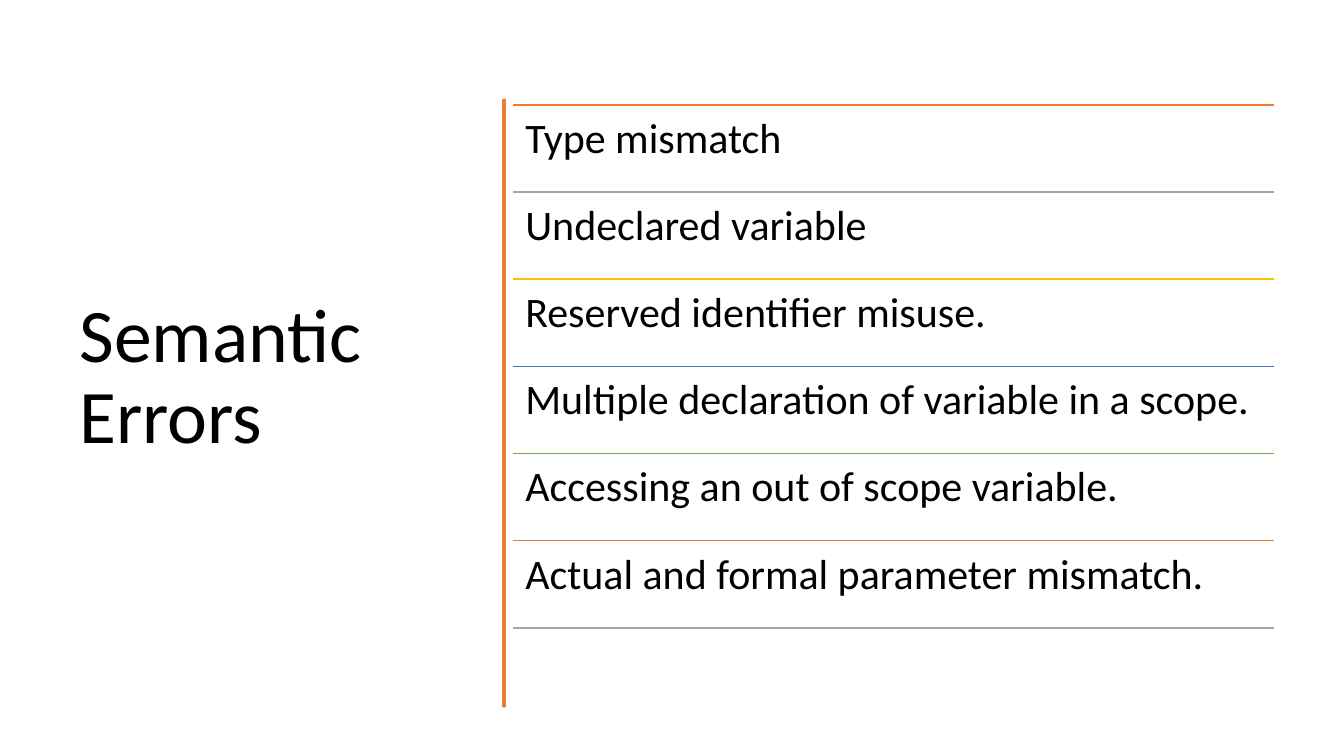
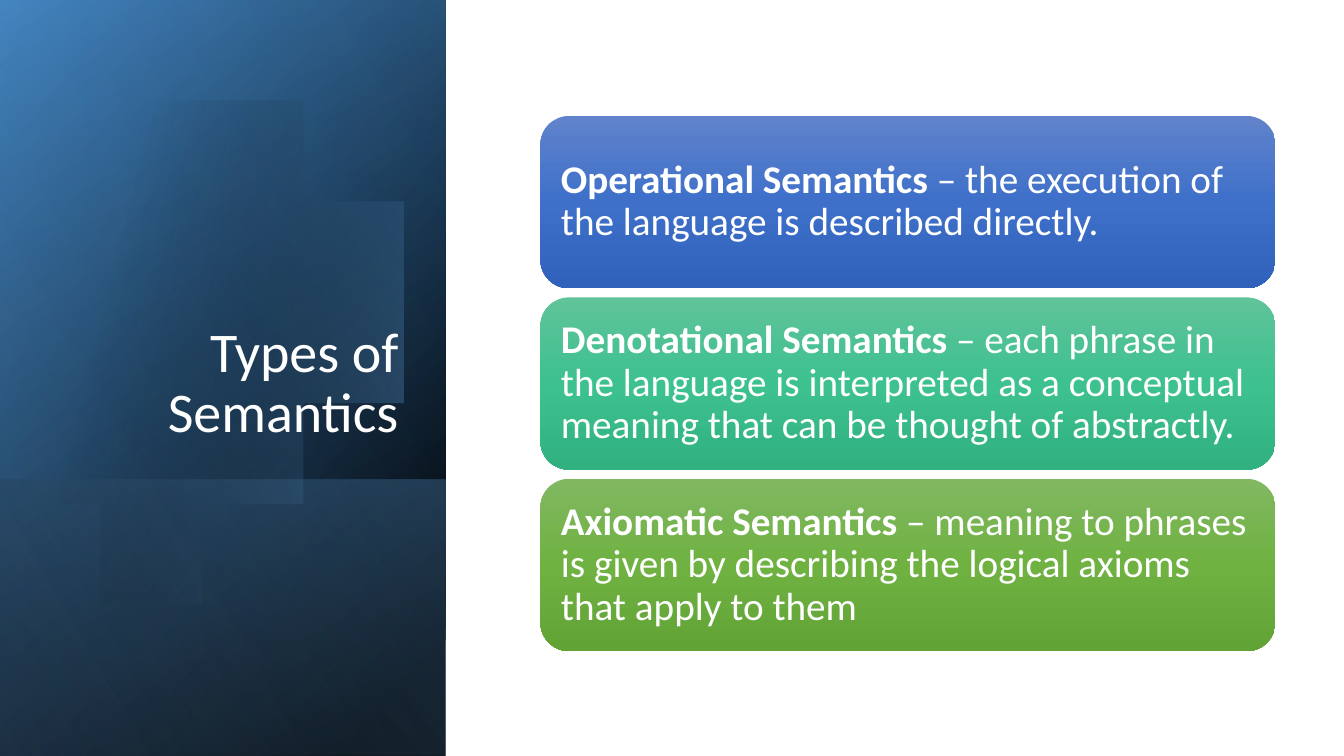
import math
from pptx import Presentation
from pptx.dml.color import RGBColor
from pptx.enum.shapes import MSO_CONNECTOR, MSO_SHAPE
from pptx.enum.text import MSO_ANCHOR, PP_ALIGN
from pptx.oxml import parse_xml
from pptx.oxml.ns import nsdecls, qn
from pptx.util import Inches, Pt

RECTANGLE, ROUNDED = MSO_SHAPE.RECTANGLE, MSO_SHAPE.ROUNDED_RECTANGLE
STRAIGHT = MSO_CONNECTOR.STRAIGHT
TOP, MIDDLE, BOTTOM = MSO_ANCHOR.TOP, MSO_ANCHOR.MIDDLE, MSO_ANCHOR.BOTTOM
LEFT, RIGHT = PP_ALIGN.LEFT, PP_ALIGN.RIGHT

FONT = "Calibri"
COLORS = {
    "black": "000000", "white": "FFFFFF", "orange": "ED7D31", "gray": "A5A5A5",
    "gold": "FFC000", "blue": "4472C4", "green": "70AD47",
    "deep": "2E75B6", "sky": "5B9BD5", "pale": "9DC3E6",
    "blue top": "6183CB", "blue mid": "3E70CA", "blue end": "3062BB",
    "teal top": "60C39A", "teal mid": "3DC18F", "teal end": "31B080",
    "green top": "81B861", "green mid": "6FB242", "green end": "62A336",
}


def write_text(shape, runs, size, color, anchor=TOP, align=LEFT, inset=None):
    """Fill a shape with one paragraph made of (text, bold) runs."""
    frame = shape.text_frame
    frame.word_wrap = True
    frame.vertical_anchor = anchor
    if inset is not None:
        frame.margin_left = frame.margin_right = Inches(inset)
        frame.margin_top = frame.margin_bottom = Inches(inset)
    paragraph = frame.paragraphs[0]
    paragraph.alignment = align
    paragraph.line_spacing = 0.9
    for text, bold in runs:
        run = paragraph.add_run()
        run.text = text
        run.font.name = FONT
        run.font.size = Pt(size)
        run.font.bold = bold
        run.font.color.rgb = RGBColor.from_string(COLORS[color])


def paint_gradient(shape, stops, angle):
    """Give a shape a borderless gradient of (position, color, opacity) stops."""
    shape.shadow.inherit = False
    shape.line.fill.background()
    shape.fill.background()
    stop_xml = "".join(
        f'<a:gs pos="{position * 1000}"><a:srgbClr val="{COLORS[color]}">'
        f'<a:alpha val="{opacity * 1000}"/></a:srgbClr></a:gs>'
        for position, color, opacity in stops)
    gradient = parse_xml(
        f'<a:gradFill {nsdecls("a")} rotWithShape="1"><a:gsLst>{stop_xml}</a:gsLst>'
        f'<a:lin ang="{angle * 60000}" scaled="0"/></a:gradFill>')
    properties = shape.element.spPr
    properties.replace(properties.find(qn("a:noFill")), gradient)


prs = Presentation()
prs.slide_width, prs.slide_height = Inches(13.33), Inches(7.5)
blank = prs.slide_layouts[6]

# Slide 1: semantic errors
errors_slide = prs.slides.add_slide(blank)
title = errors_slide.shapes.add_textbox(Inches(0.69), Inches(0.7), Inches(3.74), Inches(6.11))
write_text(title, [("Semantic Errors", False)], 54, "black", MIDDLE)

# Hand-drawn divider: each row is two control points and the end of a curve
DIVIDER_START = (4.75, 0.84)
DIVIDER_CURVES = [
    (4.77, 1.02, 4.77, 1.19, 4.75, 1.46), (4.73, 1.73, 4.76, 1.95, 4.75, 2.26),
    (4.74, 2.57, 4.75, 2.62, 4.75, 2.94), (4.74, 3.25, 4.77, 3.42, 4.75, 3.56),
    (4.73, 3.7, 4.79, 4.14, 4.75, 4.36), (4.71, 4.57, 4.72, 4.84, 4.75, 5.1),
    (4.77, 5.36, 4.77, 5.64, 4.75, 5.84), (4.73, 6.03, 4.76, 6.5, 4.75, 6.76),
    (4.74, 6.76, 4.73, 6.76, 4.73, 6.76), (4.74, 6.46, 4.71, 6.44, 4.73, 6.13),
    (4.74, 5.83, 4.74, 5.7, 4.73, 5.57), (4.72, 5.44, 4.72, 4.95, 4.73, 4.77),
    (4.73, 4.59, 4.71, 4.45, 4.73, 4.15), (4.74, 3.86, 4.72, 3.73, 4.73, 3.35),
    (4.74, 2.98, 4.72, 2.81, 4.73, 2.5), (4.74, 2.18, 4.75, 2, 4.73, 1.81),
    (4.7, 1.63, 4.77, 1.04, 4.73, 0.84),
]
STEPS = 6
outline = []
x0, y0 = DIVIDER_START
for x1, y1, x2, y2, x3, y3 in DIVIDER_CURVES:
    for step in range(1, STEPS + 1):
        t = step / STEPS
        a, b, c, d = (1 - t) ** 3, 3 * t * (1 - t) ** 2, 3 * t * t * (1 - t), t ** 3
        outline.append((a * x0 + b * x1 + c * x2 + d * x3,
                        a * y0 + b * y1 + c * y2 + d * y3))
    x0, y0 = x3, y3
builder = errors_slide.shapes.build_freeform(*DIVIDER_START, scale=Inches(1))
builder.add_line_segments(outline, close=True)
divider = builder.convert_to_shape()
divider.shadow.inherit = False
divider.fill.solid()
divider.fill.fore_color.rgb = RGBColor.from_string(COLORS["orange"])
divider.line.color.rgb = RGBColor.from_string(COLORS["orange"])
divider.line.width = Pt(3.25)

# Ruled list, closed by one more rule
ERRORS = [
    "Type mismatch",
    "Undeclared variable",
    "Reserved identifier misuse.",
    "Multiple declaration of variable in a scope.",
    "Accessing an out of scope variable.",
    "Actual and formal parameter mismatch.",
]
RULE_COLORS = ["orange", "gray", "gold", "blue", "green"]
LIST_LEFT, LIST_TOP, LIST_WIDTH, LIST_HEIGHT = 5.09, 1.04, 7.55, 5.19
row_height = LIST_HEIGHT / len(ERRORS)
for i in range(len(ERRORS) + 1):
    row_top = Inches(LIST_TOP + i * row_height)
    rule = errors_slide.shapes.add_connector(
        STRAIGHT, Inches(LIST_LEFT), row_top, Inches(LIST_LEFT + LIST_WIDTH), row_top)
    rule.line.color.rgb = RGBColor.from_string(COLORS[RULE_COLORS[i % len(RULE_COLORS)]])
    rule.line.width = Pt(1)
    rule.element.spPr.append(parse_xml(f'<a:effectLst {nsdecls("a")}/>'))
    if i < len(ERRORS):
        error = errors_slide.shapes.add_textbox(
            Inches(LIST_LEFT), row_top, Inches(LIST_WIDTH), Inches(row_height))
        write_text(error, [(ERRORS[i], False)], 30, "black", inset=0.12)

# Slide 2: types of semantics
types_slide = prs.slides.add_slide(blank)

# Side panel: mirrored, quarter-turned layers; None marks the place of the disc
PANEL_WIDTH = 4.42
LAYERS = [
    (0, 7.5, [(8, "black", 100), (100, "deep", 100)], 50),
    (0, 7.5, [(0, "black", 0), (99, "sky", 46)], 30),
    (4.76, 2.74, [(2, "sky", 29), (100, "black", 30)], 130),
    None,
    (0, 7.5, [(0, "black", 0), (99, "pale", 11)], 120),
]
DISC_X, DISC_Y, DISC_RADIUS, DISC_CUT = 1.43, 3.39, 2.29, -0.15
for layer in LAYERS:
    if layer:
        top, height, stops, angle = layer
        panel = types_slide.shapes.add_shape(
            RECTANGLE, Inches((PANEL_WIDTH - height) / 2),
            Inches(top + (height - PANEL_WIDTH) / 2), Inches(height), Inches(PANEL_WIDTH))
        panel.rotation = 90
        panel.element.spPr.find(qn("a:xfrm")).set("flipH", "1")
        paint_gradient(panel, stops, angle)
    else:
        reach = math.acos((DISC_CUT - DISC_X) / DISC_RADIUS)
        angles = [reach * (k / 60 - 1) for k in range(121)]
        arc = [(DISC_X + DISC_RADIUS * math.cos(a), DISC_Y + DISC_RADIUS * math.sin(a))
               for a in angles]
        builder = types_slide.shapes.build_freeform(*arc[0], scale=Inches(1))
        builder.add_line_segments(arc[1:], close=True)
        disc = builder.convert_to_shape()
        paint_gradient(disc, [(29, "black", 0), (100, "sky", 43)], 14)

title = types_slide.shapes.add_textbox(Inches(0.64), Inches(1.84), Inches(3.41), Inches(2.62))
write_text(title, [("Types of Semantics", False)], 40, "white", BOTTOM, RIGHT)

# Definition cards
CARDS = [
    ("blue", "Operational Semantics ",
     "– the execution of the language is described directly."),
    ("teal", "Denotational Semantics ",
     "– each phrase in the language is interpreted as a conceptual meaning "
     "that can be thought of abstractly."),
    ("green", "Axiomatic Semantics ",
     "– meaning to phrases is given by describing the logical axioms that apply to them"),
]
CARD_TOP, CARD_HEIGHT, CARD_GAP = 1.15, 1.71, 0.09
for i, (hue, term, meaning) in enumerate(CARDS):
    card = types_slide.shapes.add_shape(
        ROUNDED, Inches(5.36), Inches(CARD_TOP + i * (CARD_HEIGHT + CARD_GAP)),
        Inches(7.29), Inches(CARD_HEIGHT))
    paint_gradient(card, [(0, f"{hue} top", 100), (50, f"{hue} mid", 100),
                          (100, f"{hue} end", 100)], 90)
    write_text(card, [(term, True), (meaning, False)], 28, "white", MIDDLE, inset=0.12)

prs.save("out.pptx")
